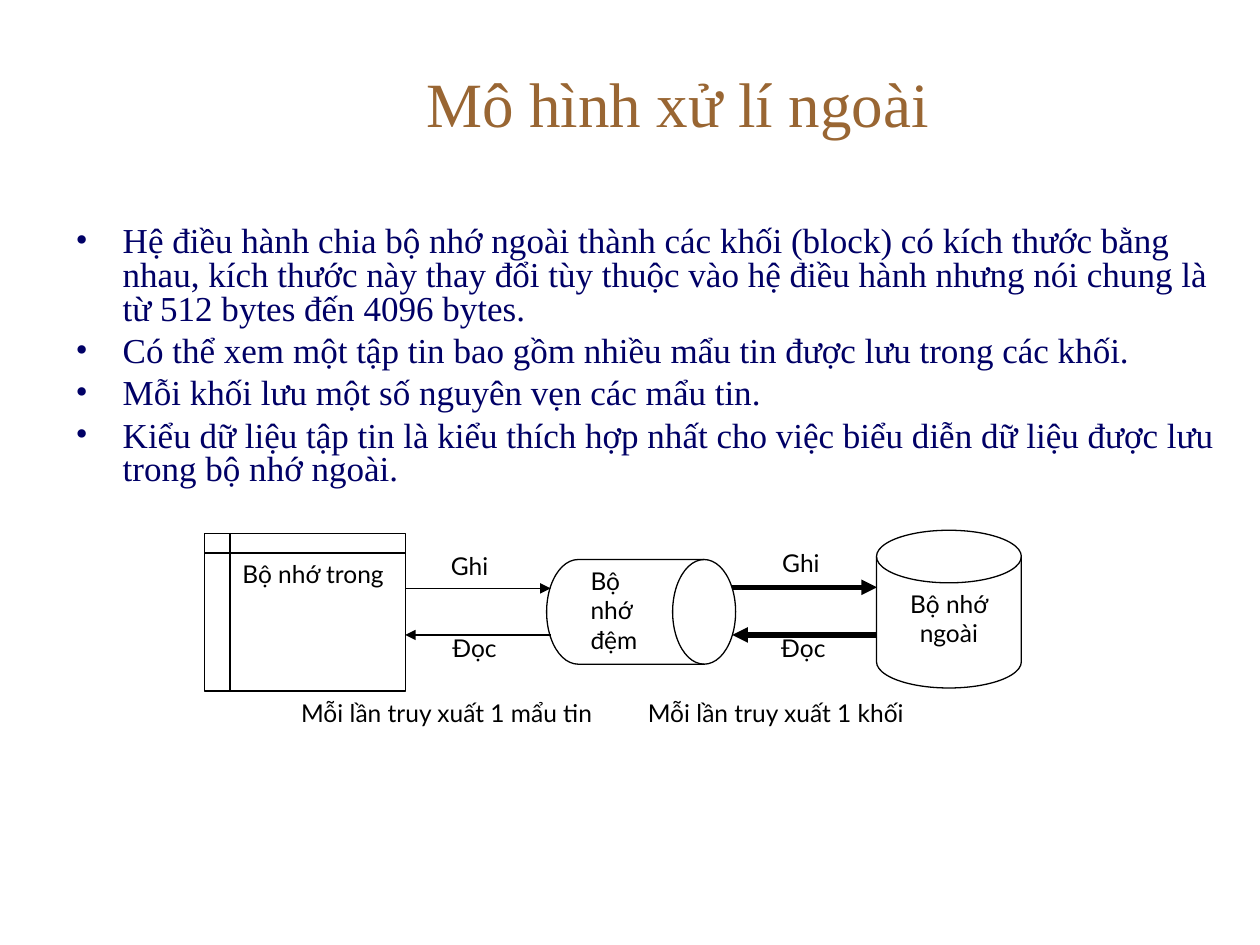
from dataclasses import dataclass

from lxml import etree
from pptx import Presentation
from pptx.dml.color import RGBColor
from pptx.enum import shapes, text
from pptx.oxml import ns
from pptx.util import Cm, Pt


@dataclass(frozen=True)
class Theme:
    title: str = "996633"
    body: str = "000066"
    ink: str = "000000"
    paper: str = "FFFFFF"
    serif: str = "Times New Roman"
    sans: str = "Lato"
    big: int = 36
    mid: int = 20
    small: int = 14
    thin: float = 0.75
    thick: float = 3


T = Theme()
KIND = shapes.MSO_SHAPE
ALIGN = text.PP_ALIGN

POINTS = [
    "Hệ điều hành chia bộ nhớ ngoài thành các khối (block) có kích thước bằng nhau, "
    "kích thước này thay đổi tùy thuộc vào hệ điều hành nhưng nói chung là từ 512 bytes đến 4096 bytes.",
    "Có thể xem một tập tin bao gồm nhiều mẩu tin được lưu trong các khối.",
    "Mỗi khối lưu một số nguyên vẹn các mẩu tin.",
    "Kiểu dữ liệu tập tin là kiểu thích hợp nhất cho việc biểu diễn dữ liệu được lưu trong bộ nhớ ngoài.",
]


def rgb(code):
    return RGBColor.from_string(code)


def sub(node, tag, **attrs):
    return etree.SubElement(node, ns.qn(tag), **attrs)


def write(para, words, size=T.small, font=T.sans, color=T.ink, align=ALIGN.LEFT):
    para.alignment = align
    run = para.add_run()
    run.text = words
    run.font.size = Pt(size)
    run.font.name = font
    run.font.color.rgb = rgb(color)


def place(item, x, y, w, h):
    item.left, item.top, item.width, item.height = Cm(x), Cm(y), Cm(w), Cm(h)
    frame = item.text_frame
    frame.word_wrap = True
    frame.auto_size = text.MSO_AUTO_SIZE.NONE
    return frame


def bullet(para):
    props = para._p.get_or_add_pPr()
    props.set("marL", str(Cm(0.95)))
    props.set("indent", str(-Cm(0.95)))
    sub(sub(props, "a:buClr"), "a:srgbClr", val=T.body)
    sub(props, "a:buFont", typeface=T.serif)
    sub(props, "a:buChar", char="•")


def points(frame):
    for i, words in enumerate(POINTS):
        para = frame.add_paragraph() if i else frame.paragraphs[0]
        bullet(para)
        para.line_spacing = 0.8
        para.space_before = Pt(5 if i else 0)
        write(para, words, size=T.mid, font=T.serif, color=T.body)


def store(group, kind, words, x, y, w, h, align=ALIGN.LEFT):
    """Draw one memory unit with its name inside."""
    item = group.shapes.add_shape(kind, Cm(x), Cm(y), Cm(w), Cm(h))
    item.shadow.inherit = False
    item.fill.solid()
    item.fill.fore_color.rgb = rgb(T.paper)
    item.line.color.rgb = rgb(T.ink)
    item.line.width = Pt(T.thin)
    frame = item.text_frame
    frame.word_wrap = True
    frame.vertical_anchor = text.MSO_ANCHOR.TOP
    write(frame.paragraphs[0], words, align=align)


def arrow(group, start, end, y, width):
    line = group.shapes.add_connector(
        shapes.MSO_CONNECTOR.STRAIGHT, Cm(start), Cm(y), Cm(end), Cm(y))
    line.line.color.rgb = rgb(T.ink)
    line.line.width = Pt(width)
    sub(line.line._get_or_add_ln(), "a:tailEnd", type="triangle")
    sub(line._element.spPr, "a:effectLst")


def label(group, words, x, y, w):
    box = group.shapes.add_textbox(Cm(x), Cm(y), Cm(w), Cm(1.05))
    frame = box.text_frame
    frame.word_wrap = True
    frame.margin_left = frame.margin_right = 0
    frame.margin_top = frame.margin_bottom = Cm(0.03)
    write(frame.paragraphs[0], words, align=ALIGN.JUSTIFY)


def diagram(slide):
    group = slide.shapes.add_group_shape()
    store(group, KIND.FLOWCHART_INTERNAL_STORAGE, "Bộ nhớ trong", 4.13, 10.75, 4.05, 3.18)
    store(group, KIND.FLOWCHART_MAGNETIC_DISK, "Bộ nhớ ngoài", 17.67, 10.69, 2.92, 3.18,
          align=ALIGN.CENTER)
    store(group, KIND.FLOWCHART_DIRECT_ACCESS_STORAGE, "Bộ nhớ đệm", 11.02, 11.28, 3.81, 2.11)

    for left, right, top, width in [(8.17, 11.1, 11.86, T.thin), (14.76, 17.68, 11.84, T.thick)]:
        arrow(group, left, right, top, width)
        arrow(group, right, left, 12.8, width)

    for words, x, y, w in [
        ("Ghi", 9.09, 11.07, 1.12),
        ("Ghi", 15.77, 11.02, 1.12),
        ("Đọc", 9.12, 12.73, 1.12),
        ("Đọc", 15.75, 12.73, 1.12),
        ("Mỗi lần truy xuất 1 mẩu tin", 6.07, 14.05, 6.5),
        ("Mỗi lần truy xuất 1 khối", 13.06, 14.05, 5.84),
    ]:
        label(group, words, x, y, w)


def main():
    deck = Presentation()
    deck.slide_width, deck.slide_height = Cm(25.4), Cm(19.05)
    slide = deck.slides.add_slide(deck.slide_layouts[1])
    title = place(slide.shapes.title, 3.18, 0.76, 20.96, 2.62)
    title.vertical_anchor = text.MSO_ANCHOR.MIDDLE
    write(title.paragraphs[0], "Mô hình xử lí ngoài", size=T.big, font=T.serif,
          color=T.title, align=ALIGN.CENTER)
    points(place(slide.placeholders[1], 1.27, 4.45, 23.7, 6.99))
    diagram(slide)
    deck.save("out.pptx")


if __name__ == "__main__":
    main()
